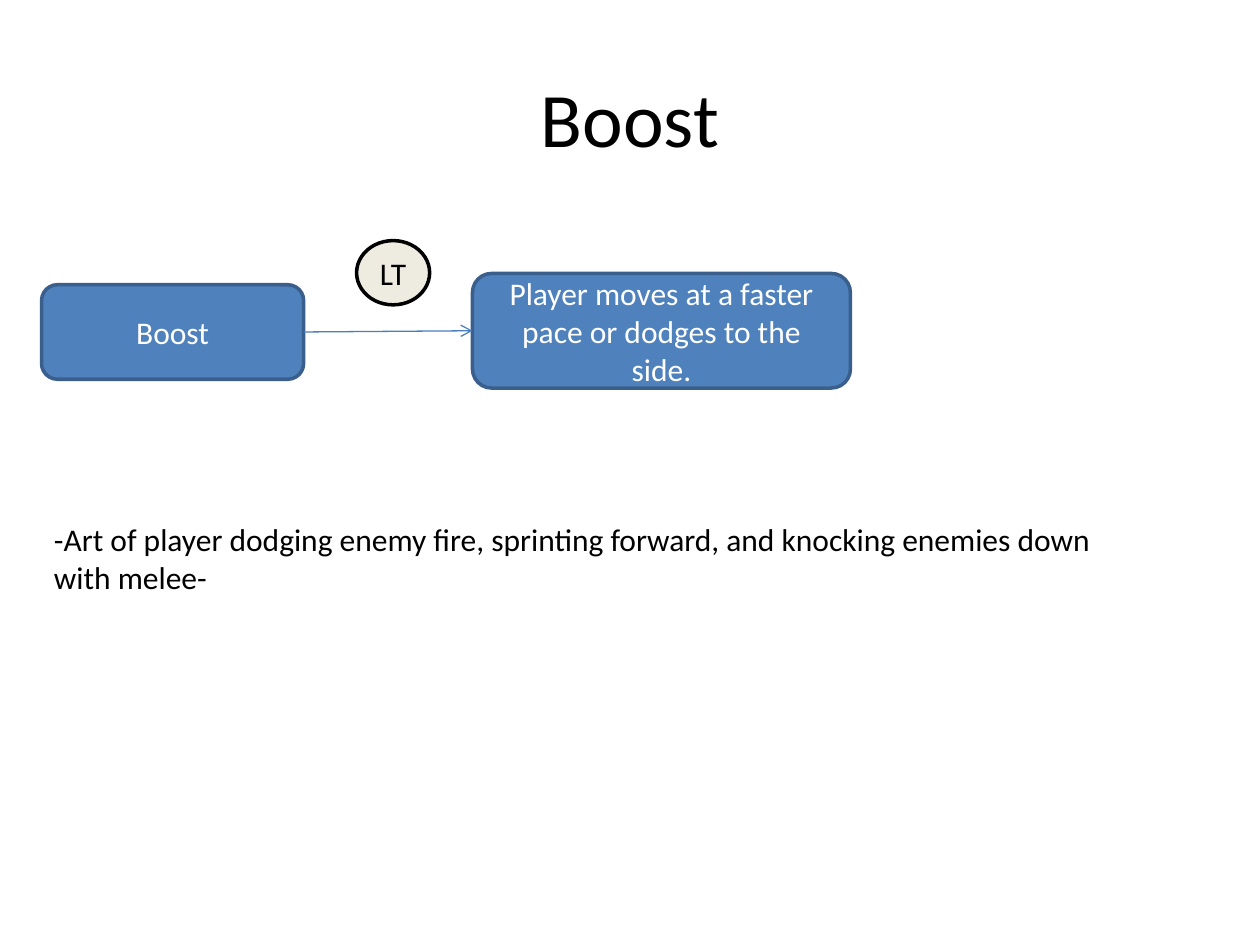
from dataclasses import dataclass

from lxml.etree import SubElement
from pptx import Presentation
from pptx.dml.color import RGBColor
from pptx.enum.shapes import MSO_CONNECTOR, MSO_SHAPE
from pptx.enum.text import MSO_ANCHOR, MSO_AUTO_SIZE, PP_ALIGN
from pptx.oxml.ns import qn
from pptx.shapes.autoshape import Shape
from pptx.slide import Slide
from pptx.text.text import TextFrame
from pptx.util import Inches, Pt


@dataclass(frozen=True)
class Theme:
    font: str = "Calibri"
    title_size: int = 44
    body_size: int = 18
    black: str = "000000"
    white: str = "FFFFFF"
    blue: str = "4F81BD"
    dark_blue: str = "3A5F8C"
    arrow_blue: str = "4B7EBC"
    cream: str = "EEECE1"


THEME = Theme()


@dataclass(frozen=True)
class Node:
    text: str
    left: float
    top: float
    width: float
    height: float
    kind: MSO_SHAPE = MSO_SHAPE.ROUNDED_RECTANGLE
    fill: str = THEME.blue
    outline: str = THEME.dark_blue
    text_color: str = THEME.white
    wrap: bool = True


ACTION = Node("Boost", 0.33, 2.26, 2.08, 0.75)
BUTTON = Node("LT", 2.83, 1.91, 0.58, 0.51, kind=MSO_SHAPE.OVAL, fill=THEME.cream,
              outline=THEME.black, text_color=THEME.black, wrap=False)
RESULT = Node("Player moves at a faster pace or dodges to the side.", 3.75, 2.17, 3, 0.91)


def write_text(frame: TextFrame, text: str, *, size: int = THEME.body_size,
               color: str = THEME.black, align: PP_ALIGN = PP_ALIGN.CENTER,
               anchor: MSO_ANCHOR = MSO_ANCHOR.MIDDLE, wrap: bool = True) -> None:
    frame.word_wrap = wrap
    frame.vertical_anchor = anchor
    paragraph = frame.paragraphs[0]
    paragraph.alignment = align
    run = paragraph.add_run()
    run.text = text
    run.font.name = THEME.font
    run.font.size = Pt(size)
    run.font.color.rgb = RGBColor.from_string(color)


def add_node(slide: Slide, node: Node) -> Shape:
    shape = slide.shapes.add_shape(node.kind, Inches(node.left), Inches(node.top),
                                   Inches(node.width), Inches(node.height))
    shape.shadow.inherit = False
    shape.fill.solid()
    shape.fill.fore_color.rgb = RGBColor.from_string(node.fill)
    shape.line.color.rgb = RGBColor.from_string(node.outline)
    shape.line.width = Pt(2)
    write_text(shape.text_frame, node.text, color=node.text_color, wrap=node.wrap)
    return shape


def add_arrow(slide: Slide, start: Shape, end: Shape) -> None:
    """Join the right side of start to the left side of end."""
    connector = slide.shapes.add_connector(MSO_CONNECTOR.STRAIGHT, 0, 0, 0, 0)
    connector.begin_connect(start, 3)
    connector.end_connect(end, 1)
    connector.line.color.rgb = RGBColor.from_string(THEME.arrow_blue)
    connector.line.width = Pt(0.75)
    SubElement(connector.line._get_or_add_ln(), qn("a:tailEnd"), type="arrow")
    SubElement(connector._element.spPr, qn("a:effectLst"))


presentation = Presentation()
presentation.slide_width = Inches(10)
presentation.slide_height = Inches(7.5)
slide = presentation.slides.add_slide(presentation.slide_layouts[5])

# Title
title = slide.shapes.title
title.left, title.top = Inches(0.5), Inches(0.3)
title.width, title.height = Inches(9), Inches(1.25)
write_text(title.text_frame, "Boost", size=THEME.title_size)

# Control flow
action, button, result = [add_node(slide, node) for node in (ACTION, BUTTON, RESULT)]
add_arrow(slide, action, result)

# Art note
note = slide.shapes.add_textbox(Inches(0.33), Inches(4.08), Inches(8.75), Inches(0.71))
write_text(note.text_frame,
           "-Art of player dodging enemy fire, sprinting forward, "
           "and knocking enemies down with melee-",
           align=PP_ALIGN.LEFT, anchor=MSO_ANCHOR.TOP)
note.text_frame.auto_size = MSO_AUTO_SIZE.SHAPE_TO_FIT_TEXT

presentation.save("out.pptx")
